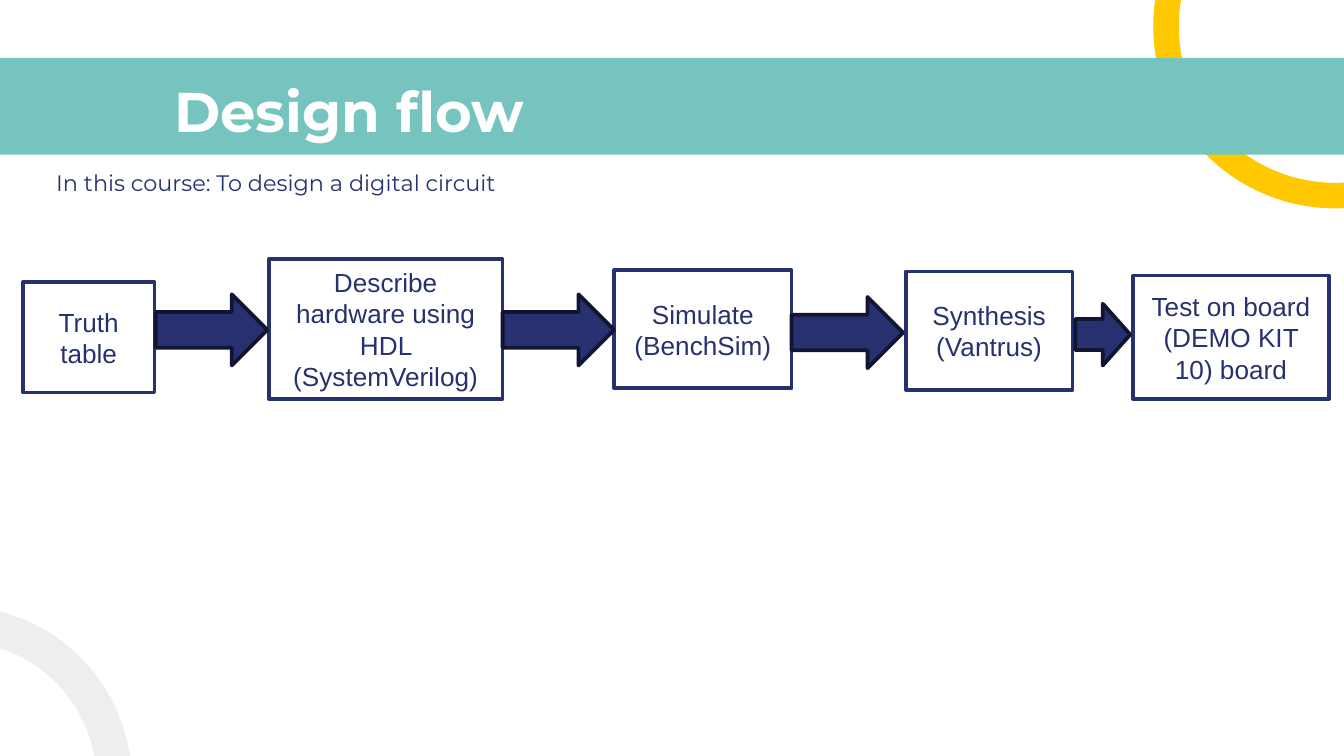
import dataclasses

import pptx
import pptx.dml.color
import pptx.enum.shapes
import pptx.enum.text
import pptx.util

Inches = pptx.util.Inches
Shape = pptx.enum.shapes.MSO_SHAPE
Anchor = pptx.enum.text.MSO_ANCHOR
Align = pptx.enum.text.PP_ALIGN


@dataclasses.dataclass(frozen=True)
class Theme:
    teal: str = "75C4C0"
    yellow: str = "FFC800"
    grey: str = "EEEEEE"
    white: str = "FFFFFF"
    navy: str = "27316F"
    dark: str = "111531"
    heading_font: str = "Montserrat"
    step_font: str = "Arial"
    title_size: int = 30
    body_size: int = 12
    step_size: int = 14
    line_width: int = 2


THEME = Theme()

# Each step: left and top in the flow, width, height, paragraphs
STEPS = [
    (0, 0.17, 0.98, 0.82, ["Truth table"]),
    (1.83, 0, 1.74, 1.04, ["Describe hardware using HDL (SystemVerilog)"]),
    (4.4, 0.08, 1.32, 0.88, ["Simulate", "(BenchSim)"]),
    (6.57, 0.09, 1.24, 0.88, ["Synthesis", "(Vantrus)"]),
    (8.26, 0.12, 1.46, 0.92, ["Test on board", "(DEMO KIT 10) board"]),
]
# Each arrow: left and top in the flow, width, height
ARROWS = [
    (0.99, 0.26, 0.83, 0.53),
    (3.57, 0.26, 0.83, 0.53),
    (5.72, 0.28, 0.83, 0.53),
    (7.83, 0.33, 0.41, 0.46),
]


def rgb(color):
    return pptx.dml.color.RGBColor.from_string(color)


def set_values(target, values):
    for name, value in values.items():
        setattr(target, name, value)


def add_figure(page, kind, box, fill, line=None):
    figure = page.shapes.add_shape(kind, *map(Inches, box))
    figure.shadow.inherit = False
    figure.fill.solid()
    figure.fill.fore_color.rgb = rgb(fill)
    if line:
        figure.line.color.rgb = rgb(line)
        figure.line.width = pptx.util.Pt(THEME.line_width)
    else:
        figure.line.fill.background()
    return figure


def write(frame, lines, font, size, color, bold=False, align=Align.LEFT):
    frame.word_wrap = True
    for index, line in enumerate(lines):
        para = frame.paragraphs[0] if index == 0 else frame.add_paragraph()
        para.alignment = align
        span = para.add_run()
        span.text = line
        set_values(span.font, {"name": font, "size": pptx.util.Pt(size), "bold": bold})
        span.font.color.rgb = rgb(color)


def add_text(page, box, line, size, color, bold=False):
    frame = page.shapes.add_textbox(*map(Inches, box)).text_frame
    sides = ("left", "top", "right", "bottom")
    set_values(frame, {f"margin_{side}": Inches(0.1) for side in sides})
    frame.vertical_anchor = Anchor.TOP
    write(frame, [line], THEME.heading_font, size, color, bold)
    return frame


def add_arc(page, box, rotation, adjustments, color):
    arc = add_figure(page, Shape.BLOCK_ARC, box, color)
    arc.rotation = rotation
    for index, value in enumerate(adjustments):
        arc.adjustments[index] = value


def add_header(page, box):
    left, top, width, height = box
    add_figure(page, Shape.RECTANGLE, box, THEME.teal)
    title_box = (left + 1.37, top + 0.04, width - 1.88, height - 0.09)
    add_text(page, title_box, "Design flow", THEME.title_size, THEME.white, True)


def add_intro(page, box):
    frame = add_text(page, box, "In this course: To design a digital circuit",
                     THEME.body_size, THEME.navy)
    properties = frame.paragraphs[0]._p.get_or_add_pPr()
    properties.set("marL", str(Inches(0.5)))
    properties.set("indent", str(Inches(-0.35)))


def add_flow(page, box):
    left, top = box[:2]
    for x, y, width, height, lines in STEPS:
        step = add_figure(page, Shape.RECTANGLE, (left + x, top + y, width, height),
                          THEME.white, THEME.navy)
        step.text_frame.vertical_anchor = Anchor.MIDDLE
        write(step.text_frame, lines, THEME.step_font, THEME.step_size,
              THEME.navy, align=Align.CENTER)
    for x, y, width, height in ARROWS:
        add_figure(page, Shape.RIGHT_ARROW, (left + x, top + y, width, height),
                   THEME.navy, THEME.dark)


def main():
    # Widescreen deck, 16 by 9
    deck = pptx.Presentation()
    deck.slide_width = Inches(10)
    deck.slide_height = deck.slide_width * 9 // 16
    page = deck.slides.add_slide(deck.slide_layouts[6])

    # Corner arcs and header band
    add_arc(page, (8.58, -1.16, 2.71, 2.71), 180, (159.04, 7.23, 0.07), THEME.yellow)
    add_header(page, (-0.17, 0.43, 10.34, 0.72))
    add_arc(page, (-1.63, 4.51, 2.61, 2.61), 74.3, (125.82, 166.85, 0.1), THEME.grey)

    # Introduction and design steps
    add_intro(page, (0.17, 1.16, 9.06, 3.35))
    add_flow(page, (0.17, 1.93, 9.72, 1.04))

    deck.save("out.pptx")


if __name__ == "__main__":
    main()
